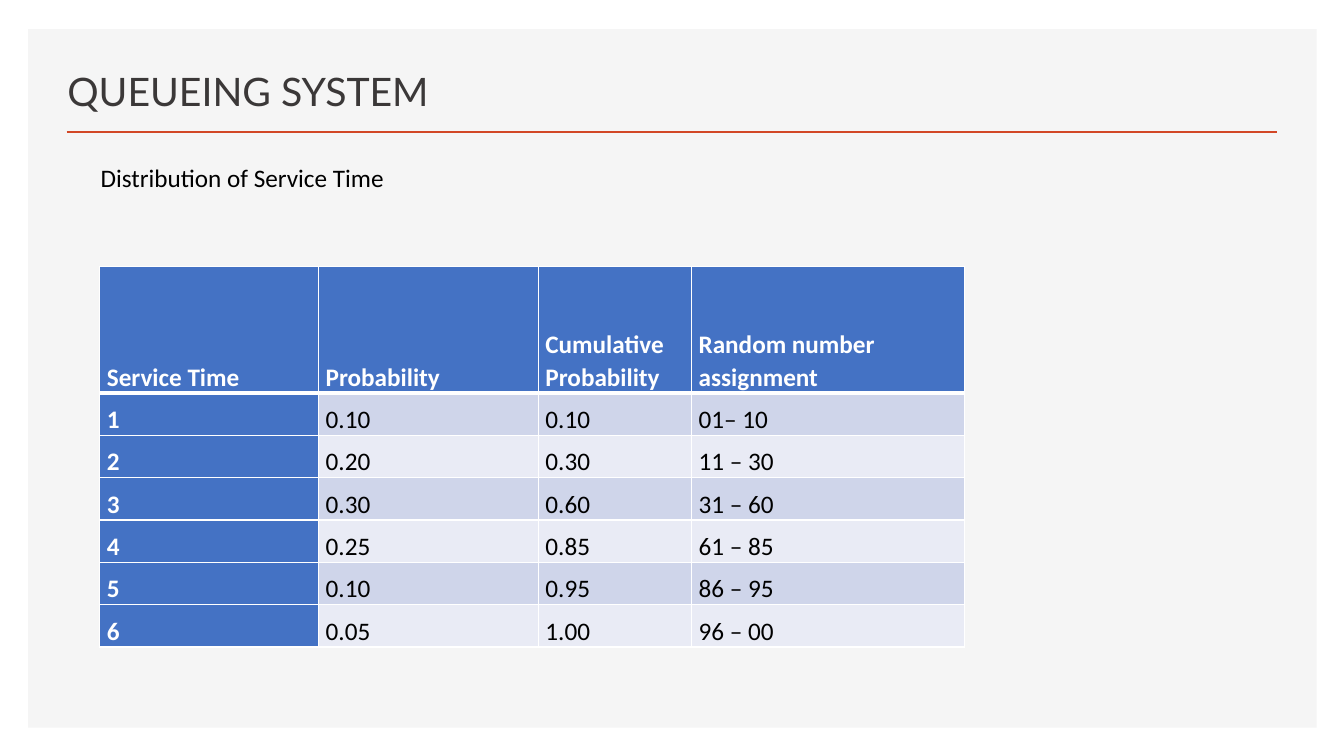
import pptx
import pptx.util
import pptx.dml.color
import pptx.enum.shapes
import pptx.enum.text
import pptx.oxml.ns
from lxml import etree

Inches, Pt = pptx.util.Inches, pptx.util.Pt
RGBColor = pptx.dml.color.RGBColor
ANCHOR = pptx.enum.text.MSO_ANCHOR
qn = pptx.oxml.ns.qn

TITLE = "QUEUEING SYSTEM"
CAPTION = "Distribution of Service Time"
HEADER = ["Service Time", "Probability", "Cumulative Probability", "Random number assignment"]
SERVICE_TIMES = [
    ("1", "0.10", "0.10", "01– 10"),
    ("2", "0.20", "0.30", "11 – 30"),
    ("3", "0.30", "0.60", "31 – 60"),
    ("4", "0.25", "0.85", "61 – 85"),
    ("5", "0.10", "0.95", "86 – 95"),
    ("6", "0.05", "1.00", "96 – 00"),
]
COL_WIDTHS = [2.17, 2.18, 1.52, 2.71]
HEADER_HEIGHT, ROW_HEIGHT = 1.26, 0.42

WHITE = RGBColor(0xFF, 0xFF, 0xFF)
BLACK = RGBColor(0, 0, 0)
PANEL = RGBColor(0xF5, 0xF5, 0xF5)
ACCENT = RGBColor(0xD2, 0x47, 0x26)
TITLE_GREY = RGBColor(0x3B, 0x38, 0x38)
BLUE = RGBColor(0x44, 0x72, 0xC4)
BANDS = [RGBColor(0xCF, 0xD5, 0xEA), RGBColor(0xE9, 0xEB, 0xF5)]

prs = pptx.Presentation()
prs.slide_width, prs.slide_height = Inches(13.33), Inches(7.5)
slide = prs.slides.add_slide(prs.slide_layouts[6])


def set_font(p, size, name, color, bold=False):
    p.font.size, p.font.name, p.font.bold = Pt(size), name, bold
    p.font.color.rgb = color


def add_text(text, box, anchor, size, name, color):
    tf = slide.shapes.add_textbox(*map(Inches, box)).text_frame
    tf.word_wrap, tf.vertical_anchor = True, anchor
    p = tf.paragraphs[0]
    p.text = text
    set_font(p, size, name, color)
    return p


def add_border(cell, side, width):
    tcPr = cell._tc.get_or_add_tcPr()
    ln = etree.SubElement(tcPr, qn("a:ln" + side), w=str(Pt(width)))
    fill = etree.SubElement(ln, qn("a:solidFill"))
    etree.SubElement(fill, qn("a:srgbClr"), val=str(WHITE))


def fill_cell(cell, text, row, col):
    heading = row == 0 or col == 0
    cell.margin_left = cell.margin_right = Inches(0.07)
    cell.margin_top = cell.margin_bottom = 0
    cell.vertical_anchor = ANCHOR.BOTTOM
    for side in "LRTB":
        under_header = (row, side) in [(0, "B"), (1, "T")]
        add_border(cell, side, 3 if under_header else 1)
    cell.fill.solid()
    cell.fill.fore_color.rgb = BLUE if heading else BANDS[(row - 1) % 2]
    p = cell.text_frame.paragraphs[0]
    p.text, p.line_spacing = text, 1.07
    set_font(p, 18, "Calibri", WHITE if heading else BLACK, heading)


panel = slide.shapes.add_shape(
    pptx.enum.shapes.MSO_SHAPE.RECTANGLE, *map(Inches, (0.28, 0.29, 12.78, 6.93)))
panel.shadow.inherit = False
panel.fill.solid()
panel.fill.fore_color.rgb = PANEL
panel.line.fill.background()

rule = slide.shapes.add_connector(
    pptx.enum.shapes.MSO_CONNECTOR.STRAIGHT, *map(Inches, (0.66, 1.31, 12.67, 1.31)))
rule.line.color.rgb, rule.line.width = ACCENT, Pt(2)
etree.SubElement(rule._element.spPr, qn("a:effectLst"))

title = add_text(TITLE, (0.57, 0.49, 7.52, 0.7), ANCHOR.BOTTOM, 28, "Lato", TITLE_GREY)
title.line_spacing = 0.9

rows = [HEADER] + SERVICE_TIMES
heights = [HEADER_HEIGHT] + [ROW_HEIGHT] * len(SERVICE_TIMES)
table = slide.shapes.add_table(
    len(rows), len(HEADER), Inches(0.99), Inches(2.64),
    Inches(sum(COL_WIDTHS)), Inches(sum(heights))).table
for column, width in zip(table.columns, COL_WIDTHS):
    column.width = Inches(width)
for r, (values, height) in enumerate(zip(rows, heights)):
    table.rows[r].height = Inches(height)
    for c, text in enumerate(values):
        fill_cell(table.cell(r, c), text, r, c)

add_text(CAPTION, (0.9, 1.56, 8.59, 0.71), ANCHOR.TOP, 18, "Calibri", BLACK)

prs.save("out.pptx")
